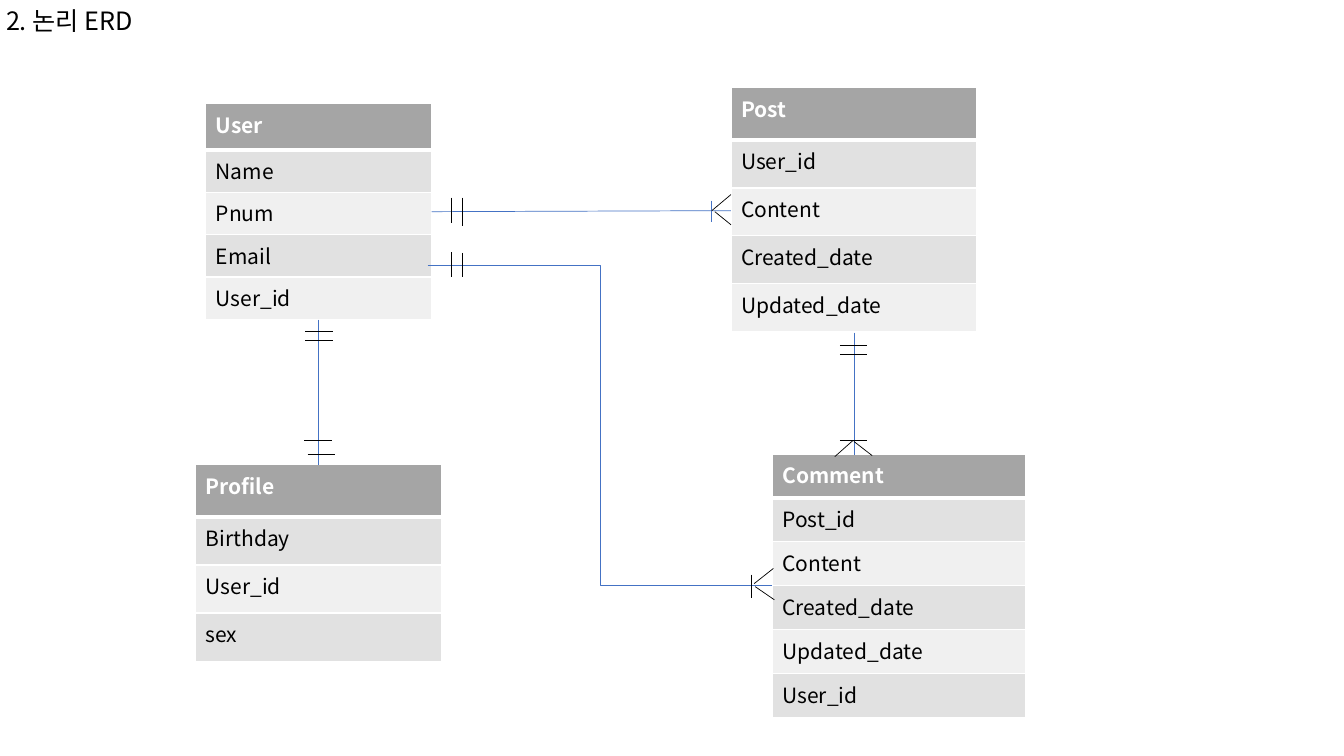
from dataclasses import dataclass
from lxml import etree
from pptx import Presentation
from pptx.dml.color import RGBColor
from pptx.enum.shapes import MSO_CONNECTOR
from pptx.enum.text import MSO_ANCHOR, MSO_AUTO_SIZE, PP_ALIGN
from pptx.oxml.ns import qn
from pptx.util import Inches, Pt

STRAIGHT, ELBOW = MSO_CONNECTOR.STRAIGHT, MSO_CONNECTOR.ELBOW
MIDDLE, LEFT, NO_AUTOFIT = MSO_ANCHOR.MIDDLE, PP_ALIGN.LEFT, MSO_AUTO_SIZE.NONE
TITLE_ONLY = 5


@dataclass(frozen=True)
class Theme:
    font: str = "Noto Sans CJK KR"
    title_size: float = 18
    cell_size: float = 15
    line_width: float = 0.5
    border: float = 1
    header_border: float = 3
    black: str = "000000"
    white: str = "FFFFFF"
    header: str = "A5A5A5"
    bands: tuple = ("E1E1E1", "F0F0F0")
    relation: str = "4472C4"


theme = Theme()


def format_text(para, size, color, bold=False):
    for span in para.runs:
        span.font.name = theme.font
        span.font.size = Pt(size)
        span.font.bold = bold
        span.font.color.rgb = RGBColor.from_string(color)
        east_asian = etree.SubElement(span._r.get_or_add_rPr(), qn("a:ea"))
        east_asian.set("typeface", theme.font)


def draw_line(kind, ends, color):
    line = page.shapes.add_connector(kind, *[Inches(value) for value in ends])
    line.line.width = Pt(theme.line_width)
    line.line.color.rgb = RGBColor.from_string(color)
    etree.SubElement(line._element.spPr, qn("a:effectLst"))


deck = Presentation()
deck.slide_width, deck.slide_height = Inches(13.33), Inches(7.5)
page = deck.slides.add_slide(deck.slide_layouts[TITLE_ONLY])

title = page.shapes.title
title.left, title.top = Inches(-0.04), Inches(-0.04)
title.width, title.height = Inches(1.67), Inches(0.52)
frame = title.text_frame
frame.text = "2. 논리 ERD"
frame.word_wrap = True
frame.auto_size = NO_AUTOFIT
frame.vertical_anchor = MIDDLE
para = frame.paragraphs[0]
para.alignment = LEFT
para.line_spacing = 0.9
format_text(para, theme.title_size, theme.black)

entities = [
    (1.94, 4.61, 2.44, 1.95, 0.52, ["Profile", "Birthday", "User_id", "sex"]),
    (7.66, 4.51, 2.51, 2.61, 0.43,
     ["Comment", "Post_id", "Content", "Created_date", "Updated_date", "User_id"]),
    (2.04, 1.03, 2.24, 2.14, 0.46, ["User", "Name", "Pnum", "Email", "User_id"]),
    (7.25, 0.87, 2.44, 2.42, 0.52,
     ["Post", "User_id", "Content", "Created_date", "Updated_date"]),
]
for left, top, width, height, header_height, fields in entities:
    table = page.shapes.add_table(
        len(fields), 1, Inches(left), Inches(top), Inches(width), Inches(height)).table
    field_height = (height - header_height) / (len(fields) - 1)
    for index, field in enumerate(fields):
        is_header = index == 0
        table.rows[index].height = Inches(header_height if is_header else field_height)
        cell = table.cell(index, 0)
        cell.text = field
        format_text(cell.text_frame.paragraphs[0], theme.cell_size,
                    theme.white if is_header else theme.black, is_header)
        properties = cell._tc.get_or_add_tcPr()
        for side in ("L", "R", "T", "B"):
            thick = (index, side) in ((0, "B"), (1, "T"))
            points = theme.header_border if thick else theme.border
            border = etree.SubElement(properties, qn(f"a:ln{side}"), w=str(Pt(points)))
            paint = etree.SubElement(border, qn("a:solidFill"))
            etree.SubElement(paint, qn("a:srgbClr"), val=theme.white)
        cell.fill.solid()
        cell.fill.fore_color.rgb = RGBColor.from_string(
            theme.header if is_header else theme.bands[(index - 1) % 2])

relations = [
    (STRAIGHT, (7.25, 2.09, 4.28, 2.1)),
    (STRAIGHT, (7.06, 1.99, 7.06, 2.2)),
    (ELBOW, (4.24, 2.63, 7.66, 5.81)),
    (STRAIGHT, (3.16, 3.17, 3.16, 4.61)),
    (STRAIGHT, (8.47, 3.3, 8.47, 4.51)),
]
for kind, ends in relations:
    draw_line(kind, ends, theme.relation)

crow_feet = [
    (8.46, 4.37, 8.28, 4.53), (8.47, 4.38, 8.65, 4.52),
    (7.25, 1.93, 7.06, 2.09), (7.09, 2.1, 7.25, 2.23),
    (7.67, 5.64, 7.48, 5.79), (7.49, 5.82, 7.68, 5.95),
]
upright_ticks = [(4.48, 1.96, 2.21), (4.59, 1.96, 2.24), (4.48, 2.5, 2.75),
                 (4.59, 2.51, 2.75), (7.45, 5.7, 5.93)]
level_ticks = [(3.03, 3.29), (3.03, 3.38), (3.02, 4.37), (3.05, 4.51),
               (8.33, 3.43), (8.33, 3.52), (8.33, 4.37)]
tick_length = 0.27
marks = crow_feet + [(x, top, x, bottom) for x, top, bottom in upright_ticks]
marks += [(left, y, left + tick_length, y) for left, y in level_ticks]
for ends in marks:
    draw_line(STRAIGHT, ends, theme.black)

deck.save("out.pptx")
